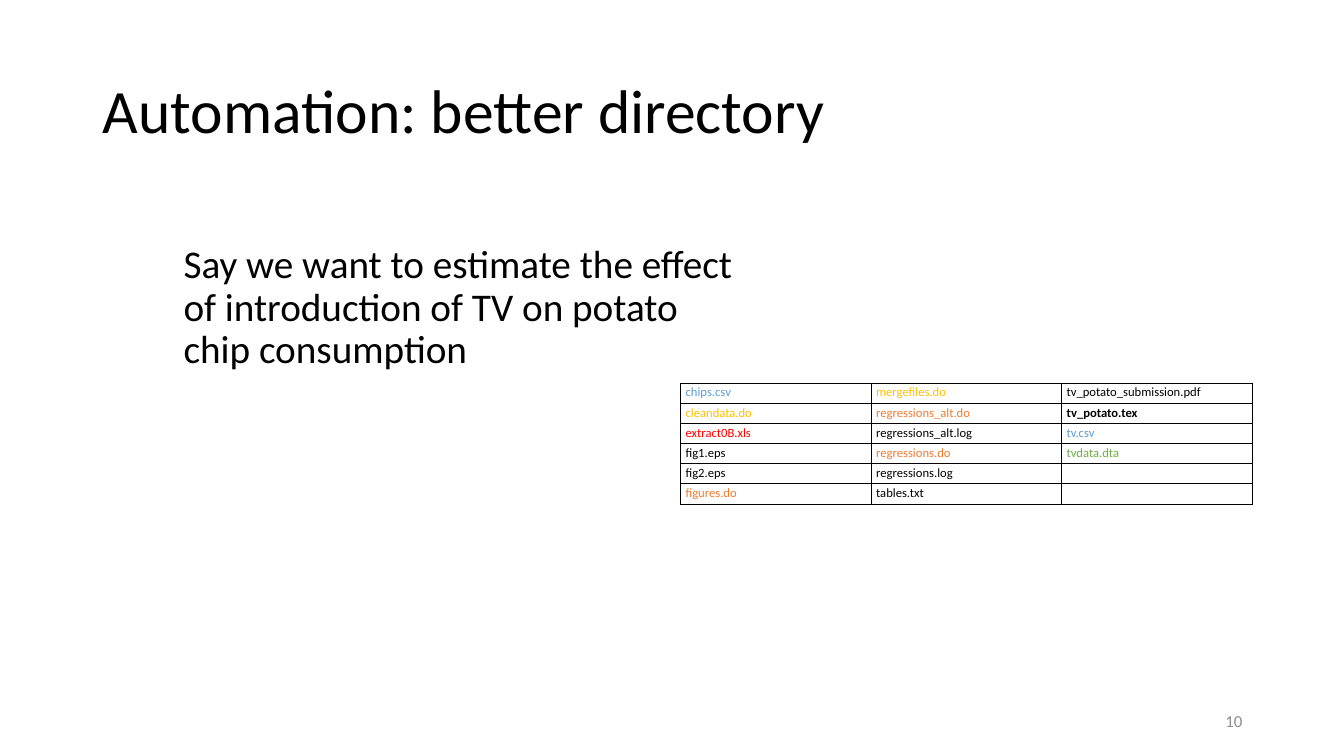
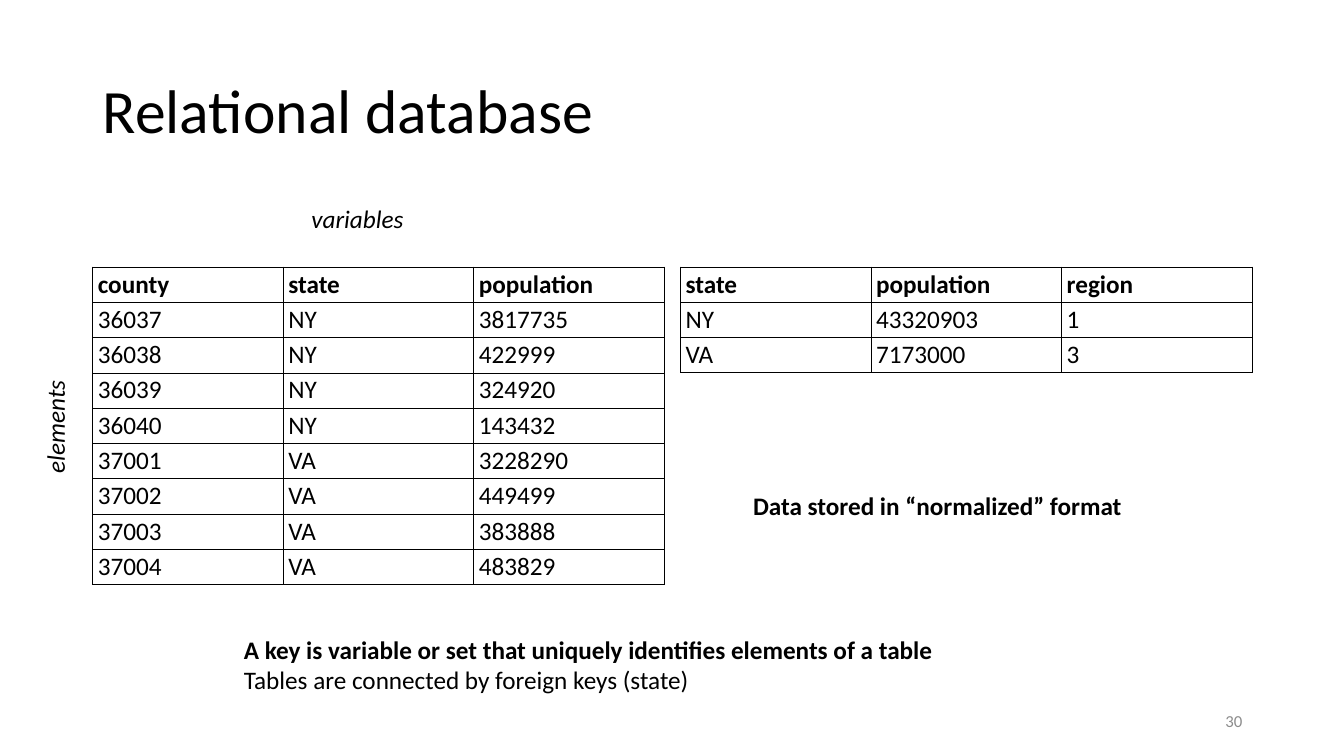
"""Build two slides on tidy directories and relational data."""
from lxml import etree
from pptx import Presentation
from pptx.dml.color import RGBColor
from pptx.enum import text as t
from pptx.oxml.ns import qn
from pptx.util import Inches, Pt

FONT = "Calibri"
BLACK = RGBColor(0x00, 0x00, 0x00)
GRAY = RGBColor(0x8C, 0x8C, 0x8C)
BLUE = RGBColor(0x5B, 0x9B, 0xD5)
GOLD = RGBColor(0xFF, 0xC0, 0x00)
ORANGE = RGBColor(0xED, 0x7D, 0x31)
RED = RGBColor(0xFF, 0x00, 0x00)
GREEN = RGBColor(0x70, 0xAD, 0x47)

LEFT, RIGHT = 0.92, 6.75
COL = 1.89

GOAL = ("Say we want to estimate the effect of introduction of TV "
        "on potato chip consumption")
FILES = [
    ["chips.csv", "mergefiles.do", "tv_potato_submission.pdf"],
    ["cleandata.do", "regressions_alt.do", "tv_potato.tex"],
    ["extract0B.xls", "regressions_alt.log", "tv.csv"],
    ["fig1.eps", "regressions.do", "tvdata.dta"],
    ["fig2.eps", "regressions.log", ""],
    ["figures.do", "tables.txt", ""],
]
TINTS = {
    "chips.csv": BLUE, "tv.csv": BLUE,
    "cleandata.do": GOLD, "mergefiles.do": GOLD,
    "regressions_alt.do": ORANGE, "regressions.do": ORANGE,
    "figures.do": ORANGE, "extract0B.xls": RED, "tvdata.dta": GREEN,
}
COUNTIES = [
    ["county", "state", "population"],
    ["36037", "NY", "3817735"],
    ["36038", "NY", "422999"],
    ["36039", "NY", "324920"],
    ["36040", "NY", "143432"],
    ["37001", "VA", "3228290"],
    ["37002", "VA", "449499"],
    ["37003", "VA", "383888"],
    ["37004", "VA", "483829"],
]
STATES = [
    ["state", "population", "region"],
    ["NY", "43320903", "1"],
    ["VA", "7173000", "3"],
]
NOTES = [
    ((2.32, 6.24, 7.09, 0.71), 0, [
        ("A key is variable or set that uniquely identifies elements of a table",
         {"bold": True}),
        ("Tables are connected by foreign keys (state)", {})]),
    ((2.99, 1.97, 1.12, 0.4), 0, [("variables", {"italic": True})]),
    ((-0.03, 4.02, 1.15, 0.4), 270, [("elements", {"italic": True})]),
    ((7.37, 4.82, 3.89, 0.4), 0,
     [("Data stored in “normalized” format", {"bold": True})]),
]


def style(par, size, color=BLACK, bold=False, italic=False):
    font = par.font
    font.name, font.size, font.color.rgb = FONT, Pt(size), color
    font.bold, font.italic = bold, italic


def place(shape, box):
    shape.left, shape.top, shape.width, shape.height = map(Inches, box)


def write(slide, box, lines, size=18, color=BLACK):
    shape = slide.shapes.add_textbox(*map(Inches, box))
    frame = shape.text_frame
    frame.word_wrap = False
    for num, (line, look) in enumerate(lines):
        par = frame.add_paragraph() if num else frame.paragraphs[0]
        par.text = line
        style(par, size, color, **look)
    return shape


def start(deck, layout, title, page):
    slide = deck.slides.add_slide(deck.slide_layouts[layout])
    head = slide.shapes.title
    place(head, (LEFT, 0.4, 11.5, 1.45))
    head.text_frame.text = title
    head.text_frame.vertical_anchor = t.MSO_ANCHOR.MIDDLE
    par = head.text_frame.paragraphs[0]
    par.alignment, par.line_spacing = t.PP_ALIGN.LEFT, 0.9
    style(par, 44)
    foot = write(slide, (9.42, 6.95, 3, 0.4), [(page, {})], 12, GRAY).text_frame
    foot.word_wrap = True
    foot.vertical_anchor = t.MSO_ANCHOR.MIDDLE
    foot.paragraphs[0].alignment = t.PP_ALIGN.RIGHT
    return slide


def frame_cell(cell):
    props = cell._tc.get_or_add_tcPr()
    for side in ("lnL", "lnR", "lnT", "lnB"):
        line = etree.SubElement(props, qn(f"a:{side}"), w=str(Pt(0.75)))
        fill = etree.SubElement(line, qn("a:solidFill"))
        etree.SubElement(fill, qn("a:srgbClr"), val=str(BLACK))
    cell.fill.background()


def grid(slide, left, top, rows, size, high, bolds, tints):
    wide = len(rows[0])
    box = (left, top, COL * wide, high * len(rows))
    table = slide.shapes.add_table(len(rows), wide, *map(Inches, box)).table
    table.first_row = table.horz_banding = False
    for r, row in enumerate(rows):
        for c, word in enumerate(row):
            cell = table.cell(r, c)
            cell.margin_left = cell.margin_right = Inches(0.05)
            cell.margin_top = cell.margin_bottom = Inches(0.02)
            par = cell.text_frame.paragraphs[0]
            if word:
                par.text = word
            else:
                etree.SubElement(par._p, qn("a:endParaRPr"), sz=str(size * 100))
            style(par, size, tints.get(word, BLACK), word in bolds)
            frame_cell(cell)


def files(deck):
    slide = start(deck, 1, "Automation: better directory", "10")
    body = slide.placeholders[1]
    place(body, (1.72, 2.38, 5.67, 4.76))
    body.text_frame.text = GOAL
    body.text_frame.auto_size = t.MSO_AUTO_SIZE.NONE
    par = body.text_frame.paragraphs[0]
    par.line_spacing, par.space_before = 0.9, Pt(10)
    style(par, 28)
    props = par._p.get_or_add_pPr()
    props.set("marL", "0")
    props.set("indent", "0")
    props.find(qn("a:defRPr")).addprevious(etree.Element(qn("a:buNone")))
    grid(slide, RIGHT, 3.8, FILES, 9, 0.2, ["tv_potato.tex"], TINTS)


def tables(deck):
    slide = start(deck, 5, "Relational database", "30")
    for left, rows in ((LEFT, COUNTIES), (RIGHT, STATES)):
        grid(slide, left, 2.65, rows, 18, 0.35, rows[0], {})
    for box, turn, lines in NOTES:
        write(slide, box, lines).rotation = turn


def main():
    deck = Presentation()
    deck.slide_width, deck.slide_height = Inches(13.33), Inches(7.5)
    files(deck)
    tables(deck)
    deck.save("out.pptx")


if __name__ == "__main__":
    main()
